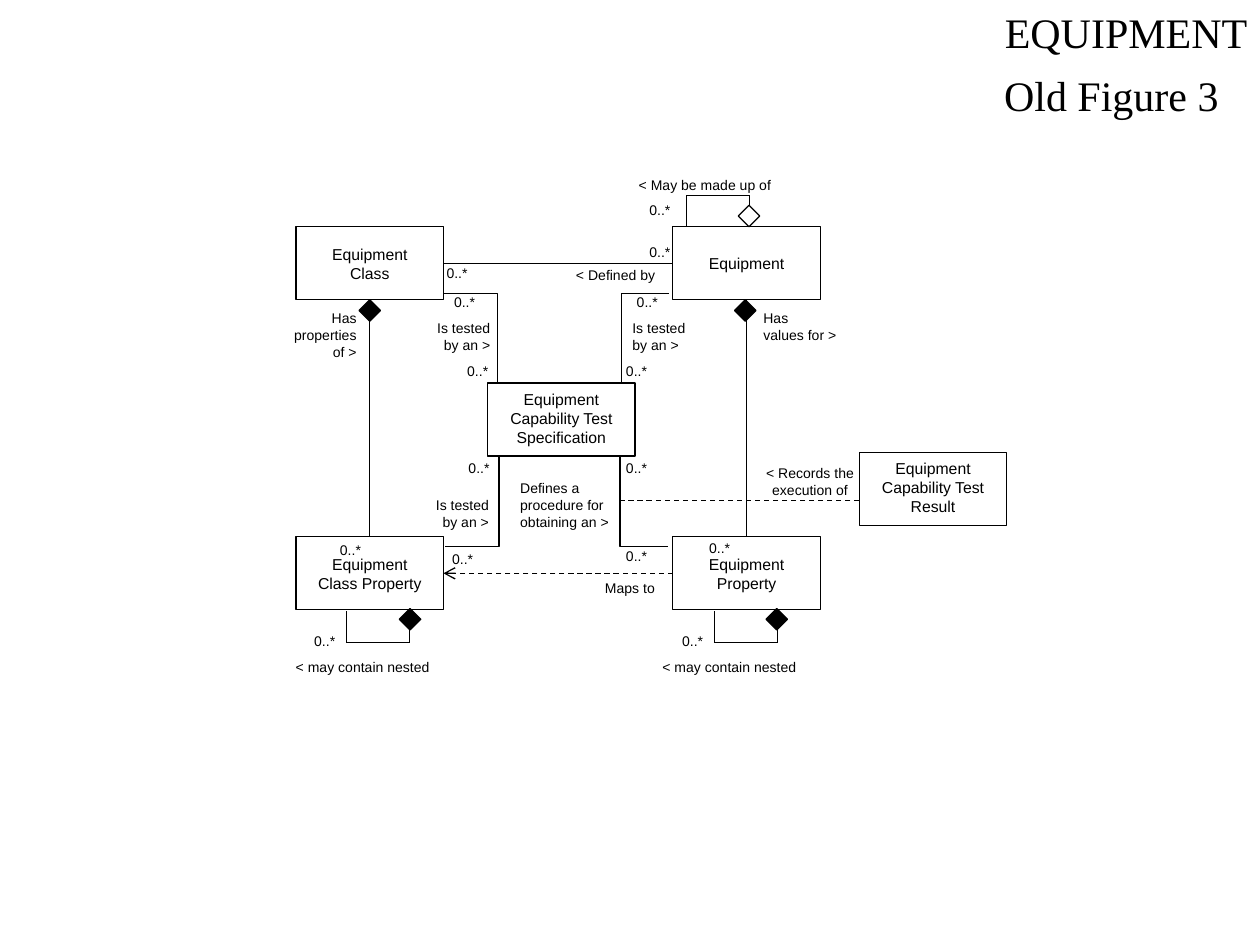
from dataclasses import dataclass
from itertools import pairwise

from lxml import etree
from pptx import Presentation
from pptx.dml.color import RGBColor
from pptx.enum.dml import MSO_LINE
from pptx.enum.shapes import MSO_CONNECTOR, MSO_SHAPE
from pptx.enum.text import MSO_ANCHOR, MSO_AUTO_SIZE, PP_ALIGN
from pptx.oxml.ns import qn
from pptx.util import Inches, Pt

LEFT, CENTER, RIGHT = PP_ALIGN.LEFT, PP_ALIGN.CENTER, PP_ALIGN.RIGHT
TOP, MIDDLE = MSO_ANCHOR.TOP, MSO_ANCHOR.MIDDLE
STRAIGHT = MSO_CONNECTOR.STRAIGHT
RECTANGLE, DIAMOND = MSO_SHAPE.RECTANGLE, MSO_SHAPE.DIAMOND
DASH = MSO_LINE.DASH


@dataclass
class Theme:
    ink = RGBColor(0x00, 0x00, 0x00)
    paper = RGBColor(0xFF, 0xFF, 0xFF)
    heading_font = "Times New Roman"
    body_font = "Arial"
    heading_size = Pt(24)
    box_size = Pt(9)
    label_size = Pt(8)
    line_width = Pt(0.75)


theme = Theme()


def write_text(shape, text, size, font, align, anchor):
    frame = shape.text_frame
    frame.text = text
    frame.word_wrap = False
    frame.vertical_anchor = anchor
    for paragraph in frame.paragraphs:
        paragraph.alignment = align
        for run in paragraph.runs:
            run.font.size = size
            run.font.name = font
            run.font.color.rgb = theme.ink


def draw_line(start, end):
    line = slide.shapes.add_connector(STRAIGHT, *[Inches(value) for value in start + end])
    line.line.color.rgb = theme.ink
    line.line.width = theme.line_width
    etree.SubElement(line._element.spPr, qn("a:effectLst"))
    return line


presentation = Presentation()
presentation.slide_width = Inches(10)
presentation.slide_height = Inches(7.5)
slide = presentation.slides.add_slide(presentation.slide_layouts[5])

title = slide.shapes.title
title.left, title.top = Inches(7.87), Inches(0)
title.width, title.height = Inches(2.13), Inches(0.5)
write_text(title, "EQUIPMENT", theme.heading_size, theme.heading_font, RIGHT, TOP)

subtitle = slide.shapes.add_textbox(Inches(7.87), Inches(0.5), Inches(1.92), Inches(0.5))
write_text(subtitle, "Old Figure 3", theme.heading_size, theme.heading_font, LEFT, TOP)

box_width, box_height = 1.17, 0.58
classes = {
    "Equipment\nClass": (2.35, 1.8),
    "Equipment": (5.34, 1.8),
    "Equipment\nClass Property": (2.35, 4.26),
    "Equipment\nProperty": (5.34, 4.26),
    "Equipment\nCapability Test\nSpecification": (3.87, 3.04),
    "Equipment\nCapability Test\nResult": (6.82, 3.59),
}
boxes = {}
for name, (left, top) in classes.items():
    box = slide.shapes.add_shape(
        RECTANGLE, Inches(left), Inches(top), Inches(box_width), Inches(box_height))
    box.shadow.inherit = False
    box.fill.solid()
    box.fill.fore_color.rgb = theme.paper
    box.line.color.rgb = theme.ink
    box.line.width = theme.line_width
    write_text(box, name, theme.box_size, theme.body_font, CENTER, MIDDLE)
    if "Capability" in name:
        box.text_frame.margin_top = Inches(0.02)
    boxes[name] = box

associations = [
    ("Equipment\nClass", 2, "Equipment\nClass Property", 0),
    ("Equipment", 2, "Equipment\nProperty", 0),
    ("Equipment", 1, "Equipment\nClass", 3),
    ("Equipment\nProperty", 1, "Equipment\nClass Property", 3),
]
for source, source_side, target, target_side in associations:
    line = draw_line((0, 0), (1, 1))
    line.begin_connect(boxes[source], source_side)
    line.end_connect(boxes[target], target_side)

maps_to = line
records = draw_line((6.82, 3.97), (4.91, 3.97))
for line in (maps_to, records):
    line.line.dash_style = DASH
etree.SubElement(maps_to.line._get_or_add_ln(), qn("a:tailEnd"), type="arrow")

self_loops = [(5.45, 1.8, 1.55), (2.75, 4.85, 5.1), (5.67, 4.85, 5.1)]
for left, base, turn in self_loops:
    right = left + 0.5
    corners = [(left, base), (left, turn), (right, turn), (right, base)]
    for start, end in pairwise(corners):
        draw_line(start, end)

elbows = [
    (3.95, 3.04, 3.52, 2.33),
    (4.93, 3.04, 5.31, 2.33),
    (3.96, 3.63, 3.53, 4.34),
    (4.92, 3.63, 5.3, 4.34),
]
for start_x, start_y, end_x, end_y in elbows:
    builder = slide.shapes.build_freeform(Inches(start_x), Inches(start_y))
    builder.add_line_segments(
        [(Inches(start_x), Inches(end_y)), (Inches(end_x), Inches(end_y))], close=False)
    elbow = builder.convert_to_shape()
    elbow.shadow.inherit = False
    elbow.fill.background()
    elbow.line.color.rgb = theme.ink
    elbow.line.width = theme.line_width

diamonds = [
    (2.85, 2.38, theme.ink),
    (5.83, 2.38, theme.ink),
    (5.86, 1.63, theme.paper),
    (3.17, 4.83, theme.ink),
    (6.08, 4.83, theme.ink),
]
for left, top, color in diamonds:
    diamond = slide.shapes.add_shape(
        DIAMOND, Inches(left), Inches(top), Inches(0.17), Inches(0.17))
    diamond.shadow.inherit = False
    diamond.fill.solid()
    diamond.fill.fore_color.rgb = color
    diamond.line.color.rgb = theme.ink
    diamond.line.width = theme.line_width

labels = [
    ("Has\nvalues for >", 5.96, 2.41, 0.78, LEFT),
    ("Has\nproperties\nof >", 2.23, 2.41, 0.7, RIGHT),
    ("Maps to", 4.7, 4.55, 0.6, CENTER),
    ("< Defined by", 4.47, 2.07, 0.83, RIGHT),
    ("< May be made up of", 4.96, 1.35, 1.26, RIGHT),
    ("Is tested\nby an >", 4.92, 2.49, 0.62, LEFT),
    ("Is tested\nby an >", 3.37, 2.49, 0.62, RIGHT),
    ("Is tested\nby an >", 3.36, 3.89, 0.62, RIGHT),
    ("Defines a\nprocedure for\nobtaining an >", 4.03, 3.76, 0.91, LEFT),
    ("< Records the\nexecution of", 5.98, 3.64, 0.9, CENTER),
    ("< may contain nested", 2.23, 5.18, 1.28, RIGHT),
    ("< may contain nested", 5.14, 5.18, 1.28, RIGHT),
]
multiplicities = {
    LEFT: [(5.53, 4.23), (2.6, 4.25), (3.62, 3.6), (4.87, 4.3), (3.49, 4.32),
           (3.61, 2.83), (4.87, 2.83), (4.87, 3.6)],
    RIGHT: [(5.05, 1.88), (3.44, 2.05), (5.05, 1.55), (3.5, 2.28), (4.95, 2.28),
            (2.39, 4.97), (5.31, 4.97)],
}
for align, places in multiplicities.items():
    labels += [("0..*", left, top, 0.37, align) for left, top in places]

for text, left, top, width, align in labels:
    height = 0.24 + 0.13 * text.count("\n")
    label = slide.shapes.add_textbox(Inches(left), Inches(top), Inches(width), Inches(height))
    write_text(label, text, theme.label_size, theme.body_font, align, TOP)
    label.text_frame.auto_size = MSO_AUTO_SIZE.SHAPE_TO_FIT_TEXT

presentation.save("out.pptx")
